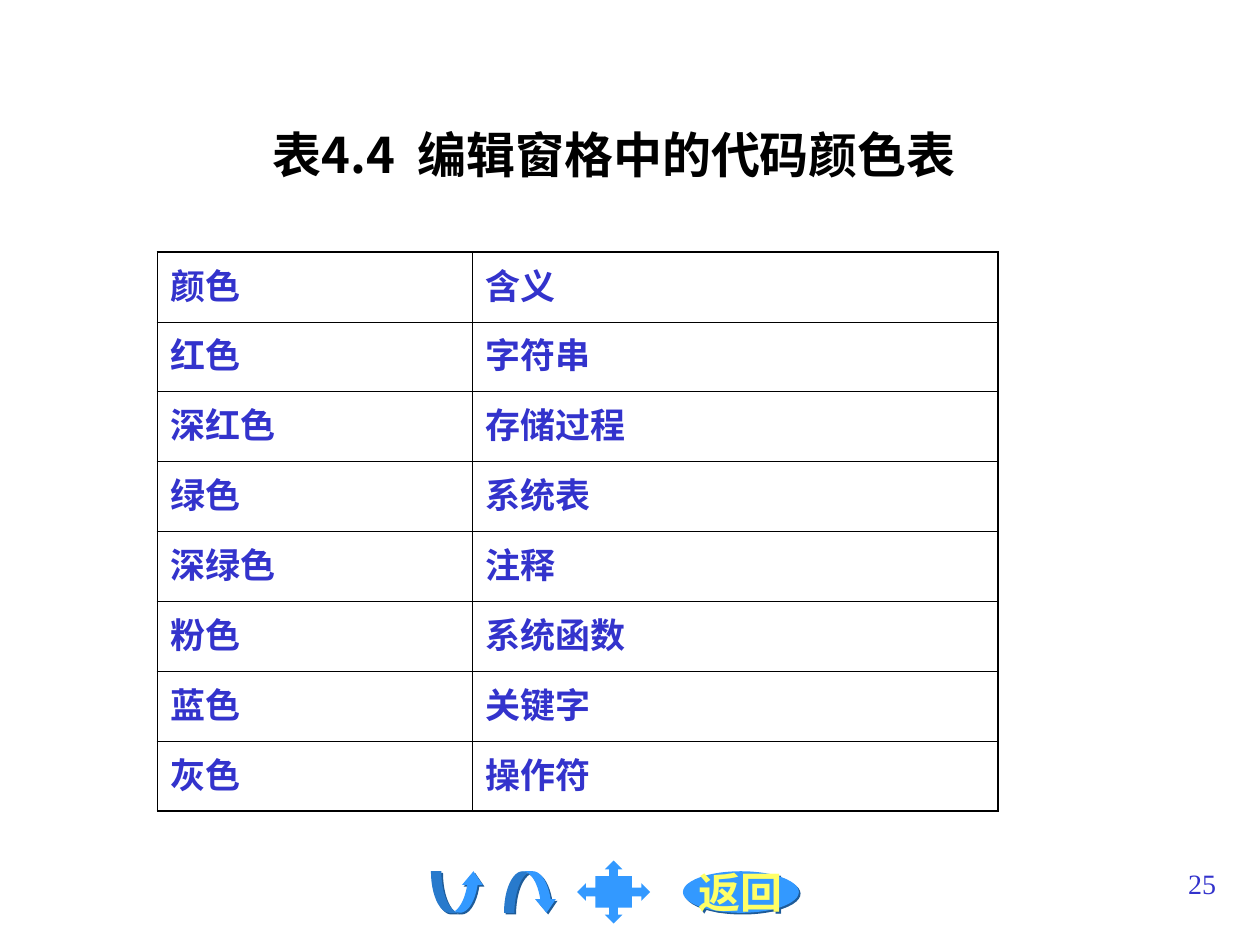
from dataclasses import dataclass

from lxml import etree
from pptx import Presentation
from pptx import util as u
from pptx.dml.color import RGBColor
from pptx.enum import shapes, text
from pptx.oxml import ns, xmlchemy


@dataclass(frozen=True)
class Theme:
    heading: str = "000000"
    body: str = "3333CC"
    button: str = "3399FF"
    button_shadow: str = "1E5B98"
    button_label: str = "FFFF66"
    border: str = "000000"
    heading_font: str = "Noto Sans CJK SC"
    body_font: str = "Times New Roman"
    east_asian_font: str = "Noto Sans CJK SC"
    heading_size: int = 28
    table_size: int = 20
    label_size: int = 24
    number_size: int = 16
    outer_border: float = 1.08
    inner_border: float = 0.45


THEME = Theme()

CODE_COLOURS = [
    ("颜色", "含义"),
    ("红色", "字符串"),
    ("深红色", "存储过程"),
    ("绿色", "系统表"),
    ("深绿色", "注释"),
    ("粉色", "系统函数"),
    ("蓝色", "关键字"),
    ("灰色", "操作符"),
]


def inches(*lengths):
    return [u.Inches(length) for length in lengths]


def write(frame, wording, size, colour, align, face=THEME.body_font, bold=True):
    paragraph = frame.paragraphs[0]
    paragraph.text = wording
    paragraph.alignment = align
    font = paragraph.font
    font.name, font.size, font.bold = face, u.Pt(size), bold
    font.color.rgb = RGBColor.from_string(colour)
    latin = paragraph._p.pPr.find(ns.qn("a:defRPr")).find(ns.qn("a:latin"))
    east_asian = xmlchemy.OxmlElement("a:ea")
    east_asian.set("typeface", THEME.east_asian_font)
    latin.addnext(east_asian)


def place_heading(slide, box):
    heading = slide.shapes.title
    heading.left, heading.top, heading.width, heading.height = inches(*box)
    frame = heading.text_frame
    frame.word_wrap = True
    frame.auto_size = text.MSO_AUTO_SIZE.NONE
    frame.vertical_anchor = text.MSO_ANCHOR.TOP
    write(frame, "表4.4  编辑窗格中的代码颜色表", THEME.heading_size,
          THEME.heading, text.PP_ALIGN.CENTER, THEME.heading_font)


def draw_borders(cell, outer_sides):
    properties = cell._tc.get_or_add_tcPr()
    for side in "LRTB":
        points = THEME.outer_border if side in outer_sides else THEME.inner_border
        line = etree.SubElement(properties, ns.qn(f"a:ln{side}"), w=str(u.Pt(points)))
        fill = etree.SubElement(line, ns.qn("a:solidFill"))
        etree.SubElement(fill, ns.qn("a:srgbClr"), val=THEME.border)


def place_colour_table(slide, box):
    row_count, column_count = len(CODE_COLOURS), len(CODE_COLOURS[0])
    left, top, width, height = box
    table = slide.shapes.add_table(row_count, column_count, *inches(*box)).table
    table.first_row = table.horz_banding = False
    meaning_left = 2.5
    table.columns[0].width = u.Inches(meaning_left)
    table.columns[1].width = u.Inches(width - meaning_left)
    for r, entry in enumerate(CODE_COLOURS):
        table.rows[r].height = u.Inches(height / row_count)
        for c, wording in enumerate(entry):
            cell = table.cell(r, c)
            outer_sides = "LR"[c] + {0: "T", row_count - 1: "B"}.get(r, "")
            draw_borders(cell, outer_sides)
            cell.fill.background()
            write(cell.text_frame, wording, THEME.table_size, THEME.body,
                  text.PP_ALIGN.JUSTIFY)


def cast_shadow(button):
    effects = button._element.spPr.find(ns.qn("a:effectLst"))
    shadow = etree.SubElement(effects, ns.qn("a:outerShdw"), dist=str(u.Pt(1.4)),
                              dir="2700000", algn="ctr", rotWithShape="0")
    etree.SubElement(shadow, ns.qn("a:srgbClr"), val=THEME.button_shadow)


def add_button(group, preset, box, adjustments=(), shadowed=True):
    button = group.shapes.add_shape(preset, *inches(*box))
    for index, value in enumerate(adjustments):
        button.adjustments[index] = value
    button.fill.solid()
    button.fill.fore_color.rgb = RGBColor.from_string(THEME.button)
    button.line.fill.background()
    button.shadow.inherit = False
    if shadowed:
        cast_shadow(button)
    return button


def place_navigation(slide, box):
    left, top, width, height = box
    group = slide.shapes.add_group_shape()
    preset = shapes.MSO_SHAPE
    button_height = 0.33
    button_top = top + (height - button_height) / 2
    bend = (0.25, 0.5, 0.33)
    add_button(group, preset.CURVED_UP_ARROW,
               (left, button_top, 0.42, button_height), bend)
    add_button(group, preset.CURVED_DOWN_ARROW,
               (left + 0.58, button_top, 0.42, button_height), bend)
    add_button(group, preset.QUAD_ARROW_CALLOUT, (left + 1.16, top, 0.58, height),
               (0.14, 0.14, 0.14, 0.5), shadowed=False)
    back = add_button(group, preset.OVAL,
                      (left + width - 0.92, button_top, 0.92, button_height))
    back.text_frame.word_wrap = False
    back.text_frame.vertical_anchor = text.MSO_ANCHOR.MIDDLE
    write(back.text_frame, "返回", THEME.label_size, THEME.button_label,
          text.PP_ALIGN.CENTER)


def place_page_number(slide, box):
    frame = slide.shapes.add_textbox(*inches(*box)).text_frame
    frame.word_wrap = True
    write(frame, "25", THEME.number_size, THEME.body, text.PP_ALIGN.RIGHT, bold=False)


def main():
    deck = Presentation()
    deck.slide_width, deck.slide_height = inches(10, 7.5)
    slide = deck.slides.add_slide(deck.slide_layouts.get_by_name("Title Only"))
    place_navigation(slide, (3.42, 6.83, 2.92, 0.5))
    place_heading(slide, (0.75, 0.94, 8.25, 0.57))
    place_colour_table(slide, (1.25, 2, 6.67, 4.44))
    place_page_number(slide, (7.67, 6.83, 2.08, 0.5))
    deck.save("out.pptx")


if __name__ == "__main__":
    main()
